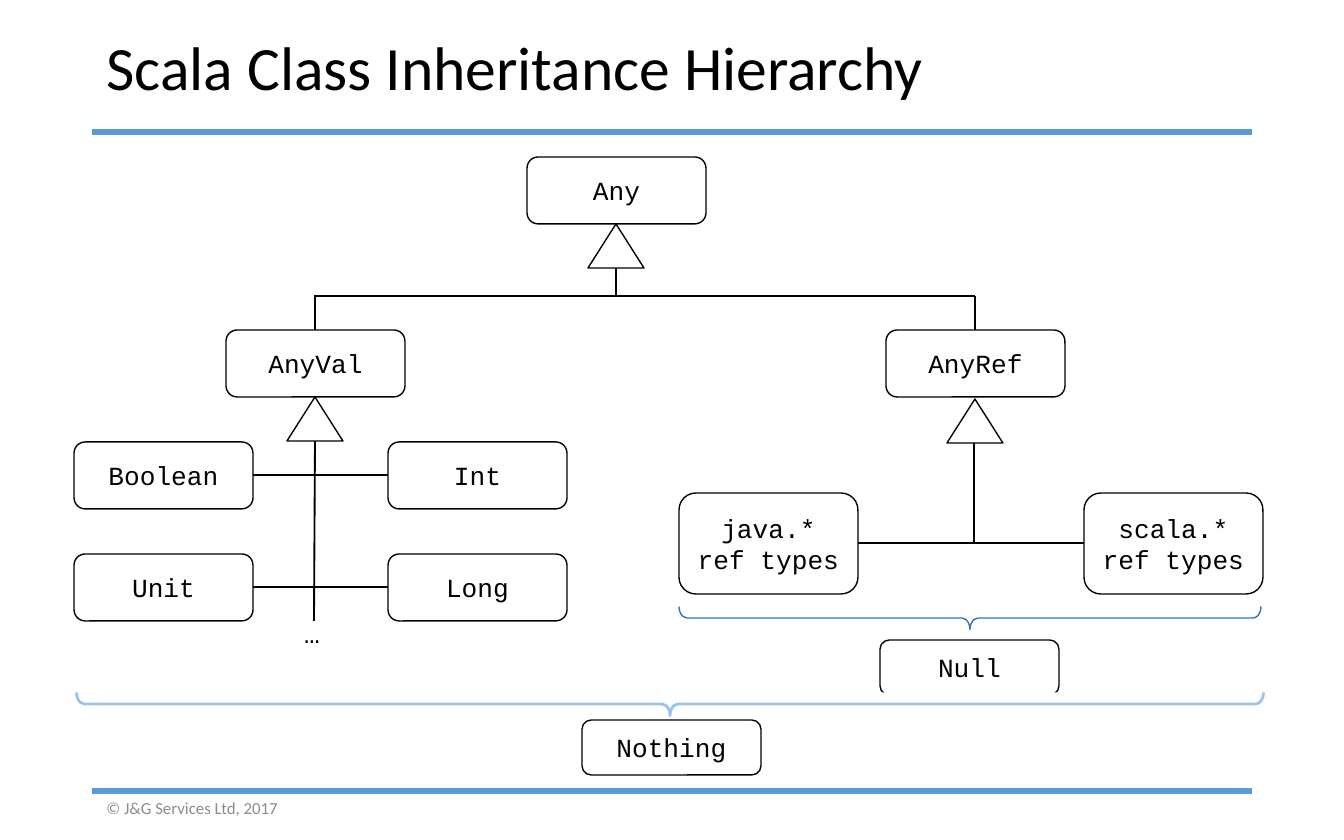
from lxml import etree
from pptx import Presentation
from pptx.dml.color import RGBColor
from pptx.enum.shapes import MSO_CONNECTOR, MSO_SHAPE
from pptx.enum.text import MSO_ANCHOR, PP_ALIGN
from pptx.oxml.ns import qn
from pptx.util import Emu, Pt

STRAIGHT = MSO_CONNECTOR.STRAIGHT
ROUNDED = MSO_SHAPE.ROUNDED_RECTANGLE
TRIANGLE = MSO_SHAPE.ISOSCELES_TRIANGLE
BRACE = MSO_SHAPE.LEFT_BRACE
MIDDLE = MSO_ANCHOR.MIDDLE
LEFT, CENTER = PP_ALIGN.LEFT, PP_ALIGN.CENTER

PX = 914400 / 134.4
COLORS = {
    "black": "000000",
    "white": "FFFFFF",
    "rule": "5B9BD5",
    "footer": "8C8C8C",
    "null_brace": "2E75B6",
    "nothing_brace": "9DC3E6",
}


def px(*lengths):
    return [Emu(round(length * PX)) for length in lengths]


def write(shape, text, size=14, font="Courier New", color="black", align=CENTER):
    frame = shape.text_frame
    frame.word_wrap = True
    frame.vertical_anchor = MIDDLE
    para = frame.paragraphs[0]
    para.text = text
    para.alignment = align
    for span in para.runs:
        span.font.size = Pt(size)
        span.font.name = font
        span.font.color.rgb = RGBColor.from_string(COLORS[color])


deck = Presentation()
deck.slide_width, deck.slide_height = px(1344, 840)
page = deck.slides.add_slide(deck.slide_layouts[5])

# Title and footer
title = page.shapes.title
title.left, title.top, title.width, title.height = px(93, 24, 1158, 94)
write(title, "Scala Class Inheritance Hierarchy", size=33, font="Calibri", align=LEFT)
title.text_frame.paragraphs[0].line_spacing = 0.9

footer = page.shapes.add_textbox(*px(93, 794, 302, 28))
write(footer, "© J&G Services Ltd, 2017", size=9, font="Calibri", color="footer", align=LEFT)

# Rules and inheritance lines: start x, start y, end x, end y, colour, width
lines = [
    (92, 132, 1252, 132, "rule", 3),
    (92, 791, 1252, 791, "rule", 3),
    (314, 296, 975, 296, "black", 1),
    (616, 268, 616, 296, "black", 1),
    (315, 296, 315, 332, "black", 1),
    (975, 296, 975, 332, "black", 1),
    (315, 441, 314, 621, "black", 1),
    (974, 443, 974, 543, "black", 1),
    (857, 543, 1084, 543, "black", 1),
    (252, 475, 388, 475, "black", 1),
    (252, 587, 388, 587, "black", 1),
]
for x1, y1, x2, y2, color, width in lines:
    line = page.shapes.add_connector(STRAIGHT, *px(x1, y1, x2, y2))
    line.line.color.rgb = RGBColor.from_string(COLORS[color])
    line.line.width = Pt(width)
    etree.SubElement(line._element.spPr, qn("a:effectLst"))

# Outlined shapes: preset, left, top, width, height, text
BOX_WIDTH = 179
outlines = [(TRIANGLE, left, top, 56, 44, "") for left, top in
            [(588, 224), (287, 397), (947, 399)]]
outlines += [(ROUNDED, left, top, BOX_WIDTH, height, name) for left, top, height, name in [
    (527, 157, 67, "Any"),
    (226, 330, 67, "AnyVal"),
    (886, 330, 67, "AnyRef"),
    (74, 442, 67, "Boolean"),
    (388, 442, 67, "Int"),
    (74, 554, 67, "Unit"),
    (388, 554, 67, "Long"),
    (679, 493, 101, "java.*\nref types"),
    (1084, 493, 101, "scala.*\nref types"),
    (880, 640, 55, "Null"),
    (582, 720, 55, "Nothing"),
]]
for preset, left, top, width, height, name in outlines:
    shape = page.shapes.add_shape(preset, *px(left, top, width, height))
    shape.shadow.inherit = False
    shape.fill.solid()
    shape.fill.fore_color.rgb = RGBColor.from_string(COLORS["white"])
    shape.line.color.rgb = RGBColor.from_string(COLORS["black"])
    shape.line.width = Pt(0.75)
    if name:
        write(shape, name)

more_types = page.shapes.add_textbox(*px(284, 610, 56, 46))
write(more_types, "…")

# Braces stand upright and are turned about their centre
BRACE_DEPTH = 23
for center_x, center_y, span, color, width in [
    (970, 618, 582, "null_brace", 0.75),
    (670, 704, 1187, "nothing_brace", 1.5),
]:
    brace = page.shapes.add_shape(BRACE, *px(
        center_x - BRACE_DEPTH / 2, center_y - span / 2, BRACE_DEPTH, span))
    brace.rotation = 270
    brace.adjustments[0] = 0.35
    brace.shadow.inherit = False
    brace.fill.solid()
    brace.fill.fore_color.rgb = RGBColor.from_string(COLORS["white"])
    brace.line.color.rgb = RGBColor.from_string(COLORS[color])
    brace.line.width = Pt(width)

deck.save("out.pptx")
